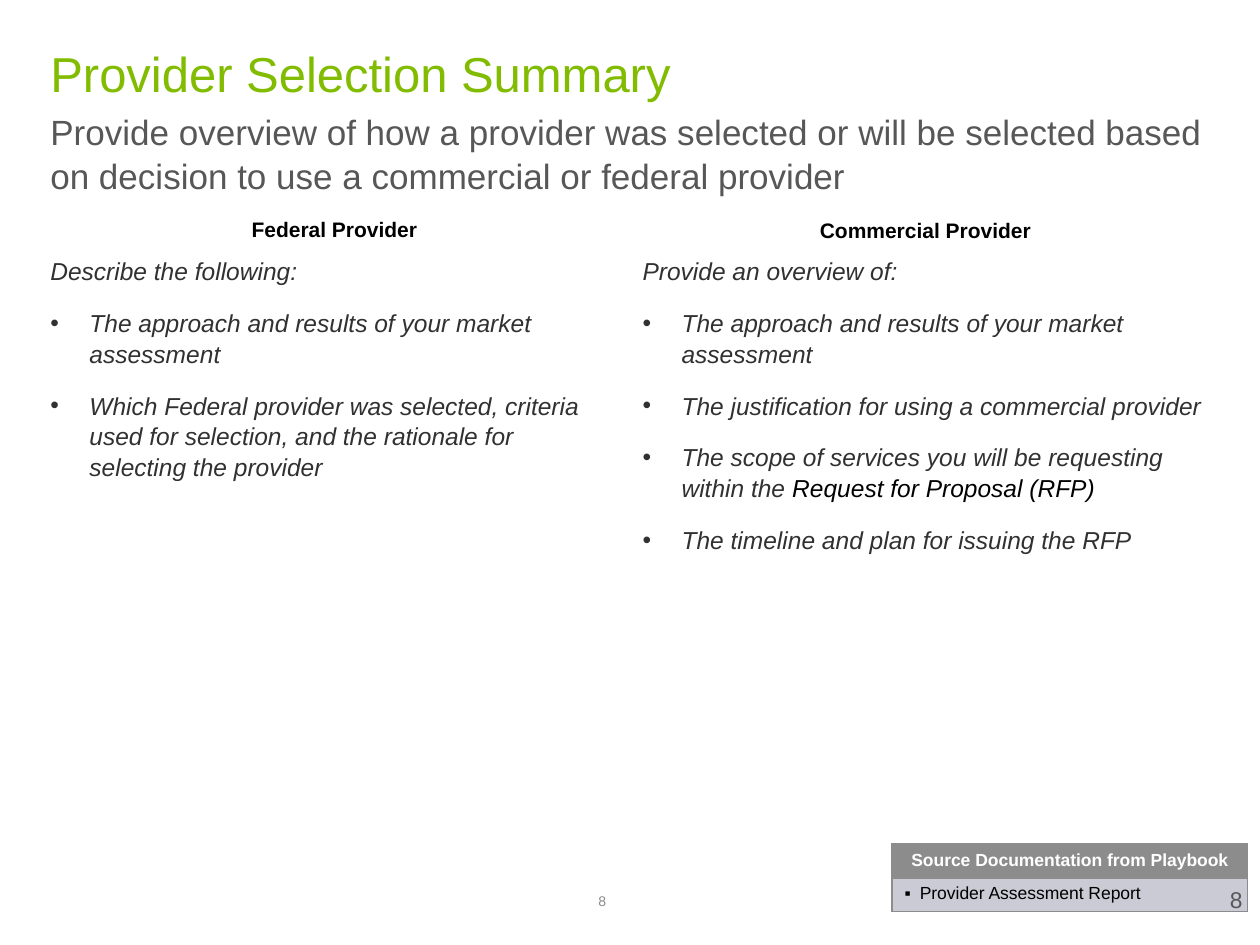
from lxml.etree import SubElement
from pptx import Presentation
from pptx.dml.color import RGBColor
from pptx.enum.shapes import MSO_SHAPE
from pptx.enum.text import MSO_ANCHOR, PP_ALIGN
from pptx.oxml.ns import qn
from pptx.util import Inches, Pt

WIDTH, HEIGHT = 10, 7.5
MARGIN, GUTTER = 0.4, 0.2
CONTENT_W = WIDTH - 2 * MARGIN
COL_W = (CONTENT_W - GUTTER) / 2
COL_X = [MARGIN + i * (COL_W + GUTTER) for i in range(2)]
FONT = "Arial"
GREEN, DARK, BODY, GREY = "81BC00", "575757", "313131", "8C8C8C"
PALE, BLACK, WHITE = "CACBD5", "000000", "FFFFFF"

RFP = "Request for Proposal (RFP)"
FEDERAL = [
    "Describe the following:",
    "The approach and results of your market assessment",
    "Which Federal provider was selected, criteria used for selection, "
    "and the rationale for selecting the provider",
]
COMMERCIAL = [
    "Provide an overview of:",
    "The approach and results of your market assessment",
    "The justification for using a commercial provider",
    "The scope of services you will be requesting within the " + RFP,
    "The timeline and plan for issuing the RFP",
]


def rgb(value):
    return RGBColor.from_string(value)


def format_run(r, size, color, bold=False, italic=False):
    r.font.name, r.font.size = FONT, Pt(size)
    r.font.bold, r.font.italic = bold, italic
    r.font.color.rgb = rgb(color)


def set_insets(tf, x=0, y=0):
    tf.margin_left = tf.margin_right = Inches(x)
    tf.margin_top = tf.margin_bottom = Inches(y)


def format_paragraph(p, size, color, align=PP_ALIGN.LEFT, spacing=1.0, **style):
    p.alignment, p.line_spacing = align, spacing
    for r in p.runs:
        format_run(r, size, color, **style)


def add_bullet(p, char, indent, color):
    """Give the paragraph a hanging bullet; indent is in inches."""
    pPr = p._p.get_or_add_pPr()
    pPr.set("marL", str(Inches(indent)))
    pPr.set("indent", str(-Inches(indent)))
    clr = SubElement(pPr, qn("a:buClr"))
    SubElement(clr, qn("a:srgbClr"), val=color)
    SubElement(pPr, qn("a:buFont"), typeface=FONT)
    SubElement(pPr, qn("a:buChar"), char=char)


def add_text(s, box, text, size, color, inset=0, anchor=MSO_ANCHOR.TOP, **style):
    tf = s.shapes.add_textbox(*map(Inches, box)).text_frame
    tf.word_wrap, tf.vertical_anchor = True, anchor
    set_insets(tf, inset, inset)
    tf.text = text
    for p in tf.paragraphs:
        format_paragraph(p, size, color, **style)
    return tf


def add_column(s, x, lines):
    """Add an italic lead-in line followed by bullets."""
    tf = add_text(s, (x, 2.02, COL_W, 4.81), "\n".join(lines), 14, BODY,
                  spacing=1.05, italic=True)
    for p in tf.paragraphs[1:]:
        p.space_before = Pt(12)
        add_bullet(p, "•", 0.31, BODY)
        if p.text.endswith(RFP):
            p.runs[0].text = p.text.removesuffix(RFP)
            r = p.add_run()
            r.text = RFP
            format_run(r, 14, BLACK, italic=True)


def add_heading(s, box, text):
    sp = s.shapes.add_shape(MSO_SHAPE.RECTANGLE, *map(Inches, box))
    sp.shadow.inherit = False
    sp.fill.solid()
    sp.fill.fore_color.rgb = rgb(WHITE)
    sp.line.fill.background()
    tf = sp.text_frame
    tf.word_wrap, tf.vertical_anchor = False, MSO_ANCHOR.MIDDLE
    set_insets(tf, 0.1)
    tf.text = text
    format_paragraph(tf.paragraphs[0], 12, BLACK, PP_ALIGN.CENTER, 1.06, bold=True)


def format_cell(cell, text, fill, color, **style):
    tcPr = cell._tc.get_or_add_tcPr()
    for side in ("lnL", "lnR", "lnT", "lnB"):
        ln = SubElement(tcPr, qn(f"a:{side}"), w=str(Pt(1)))
        SubElement(SubElement(ln, qn("a:solidFill")), qn("a:srgbClr"), val=GREY)
    cell.fill.solid()
    cell.fill.fore_color.rgb = rgb(fill)
    set_insets(cell, 0.1, 0.05)
    cell.text = text
    p = cell.text_frame.paragraphs[0]
    format_paragraph(p, 10, color, **style)
    return p


def add_source_table(s):
    box = map(Inches, (7.08, 6.7, 2.82, 0.52))
    table = s.shapes.add_table(2, 1, *box).table
    format_cell(table.cell(0, 0), "Source Documentation from Playbook",
                GREY, WHITE, align=PP_ALIGN.CENTER, bold=True)
    p = format_cell(table.cell(1, 0), "Provider Assessment Report", PALE, BLACK)
    add_bullet(p, "▪", 0.12, BLACK)


def main():
    prs = Presentation()
    prs.slide_width, prs.slide_height = Inches(WIDTH), Inches(HEIGHT)
    s = prs.slides.add_slide(prs.slide_layouts[6])
    add_text(s, (4.75, 7.09, 0.5, 0.13), "8", 8, GREY, anchor=MSO_ANCHOR.BOTTOM)
    add_text(s, (MARGIN, 0.32, CONTENT_W, 0.51), "Provider Selection Summary",
             28, GREEN, spacing=1.05)
    add_text(s, (MARGIN, 0.86, CONTENT_W, 0.83),
             "Provide overview of how a provider was selected or will be selected "
             "based on decision to use a commercial or federal provider",
             20, DARK, spacing=1.05)
    for x, lines in zip(COL_X, (FEDERAL, COMMERCIAL)):
        add_column(s, x, lines)
    add_heading(s, (1.89, 1.71, 1.53, 0.21), "Federal Provider")
    add_heading(s, (6.4, 1.72, 1.89, 0.2), "Commercial Provider")
    add_source_table(s)
    add_text(s, (9.36, 6.93, 0.6, 0.57), "8", 13, DARK, inset=0.1,
             align=PP_ALIGN.RIGHT)
    prs.save("out.pptx")


if __name__ == "__main__":
    main()
